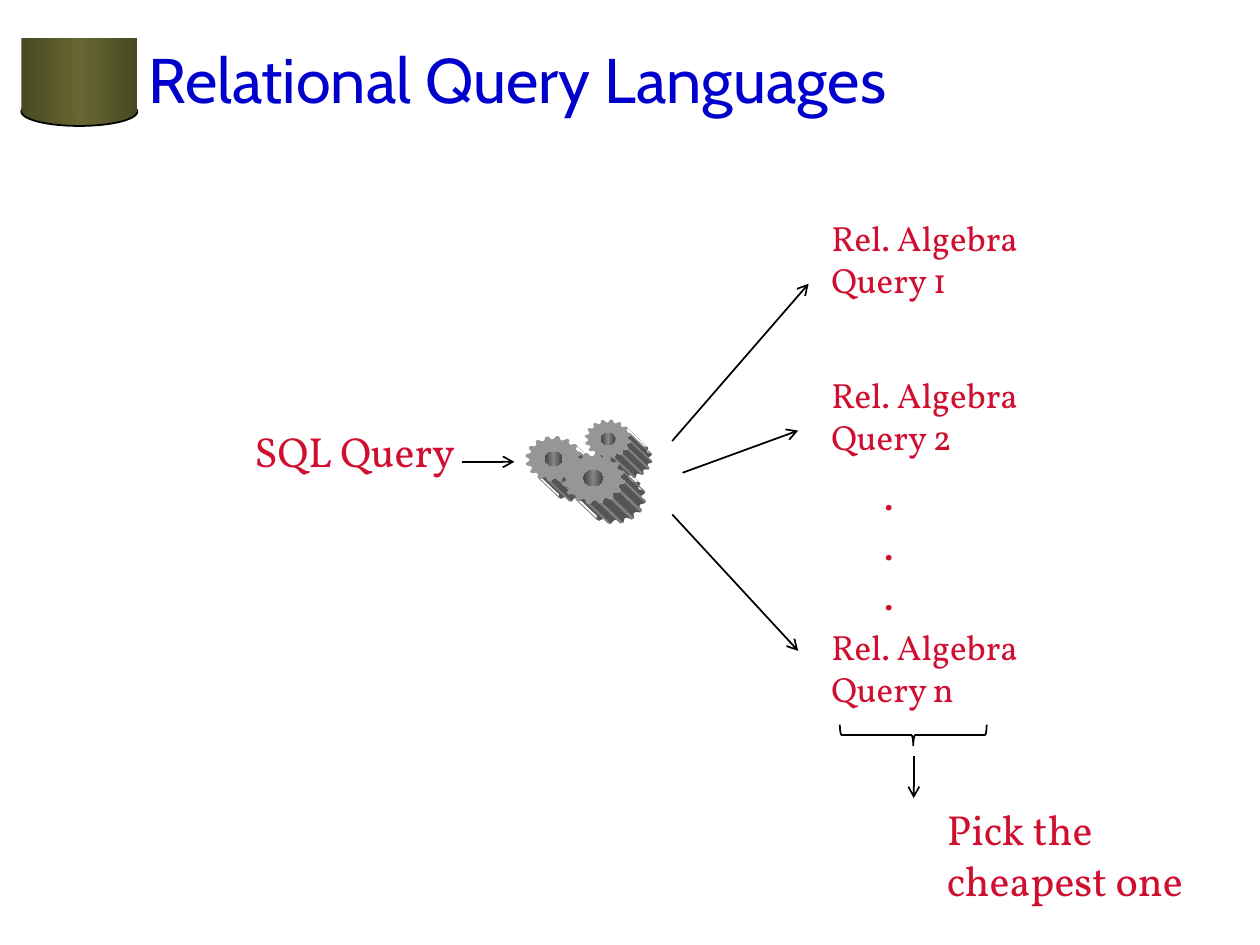
import math

import lxml.etree
import pptx
import pptx.dml.color
import pptx.enum.shapes
import pptx.enum.text
import pptx.oxml.ns
import pptx.util

Cm = pptx.util.Cm
SHAPES = pptx.enum.shapes.MSO_SHAPE
qn = pptx.oxml.ns.qn

COLORS = {
    "title": "0000CC",
    "text": "CF0E30",
    "line": "000000",
    "white": "FFFFFF",
    "olive_dark": "494924",
    "olive": "666633",
    "gear_face": "969696",
    "gear_side": "555555",
    "gear_ridge": "808080",
    "hole_dark": "404040",
    "hole_light": "858585",
}
TEETH = 16
DEPTH = (0.42, 0.40)  # how far the gears reach right and down, in cm


def color(name):
    return pptx.dml.color.RGBColor.from_string(COLORS[name])


def fill_gradient(shape, names):
    """Fill from left to right with evenly spaced colours."""
    shape.fill.gradient()
    shape.fill.gradient_angle = 0
    stops = shape.fill._fill._gradFill.find(qn("a:gsLst"))
    for stop in list(stops):
        stops.remove(stop)
    for index, name in enumerate(names):
        position = str(index * 100000 // (len(names) - 1))
        stop = lxml.etree.SubElement(stops, qn("a:gs"), pos=position)
        lxml.etree.SubElement(stop, qn("a:srgbClr"), val=COLORS[name])


def set_line(shape, name=None):
    if name is None:
        shape.line.fill.background()
    else:
        shape.line.color.rgb = color(name)
        shape.line.width = pptx.util.Pt(1)


def add_preset(page, kind, left, top, width, height, line=None):
    shape = page.shapes.add_shape(kind, Cm(left), Cm(top), Cm(width), Cm(height))
    shape.shadow.inherit = False
    set_line(shape, line)
    return shape


def add_text(page, text, left, top, width, height, size, font="Vollkorn", name="text"):
    box = page.shapes.add_textbox(Cm(left), Cm(top), Cm(width), Cm(height))
    box.text_frame.word_wrap = True
    box.text_frame.text = text
    for para in box.text_frame.paragraphs:
        for span in para.runs:
            span.font.size = pptx.util.Pt(size)
            span.font.name = font
            span.font.color.rgb = color(name)
    return box


def add_arrow(page, start, end):
    arrow = page.shapes.add_connector(
        pptx.enum.shapes.MSO_CONNECTOR.STRAIGHT, *map(Cm, start + end))
    set_line(arrow, "line")
    lxml.etree.SubElement(arrow.line._get_or_add_ln(), qn("a:tailEnd"), type="arrow")
    lxml.etree.SubElement(arrow._element.spPr, qn("a:effectLst"))


def add_outline(page, contours, name):
    """Draw closed contours, given in cm, as one filled shape."""
    contours = [[(Cm(x), Cm(y)) for x, y in points] for points in contours]
    builder = page.shapes.build_freeform(*contours[0][0], scale=1)
    for index, points in enumerate(contours):
        if index:
            builder.move_to(*points[0])
        builder.add_line_segments(points[1:], close=True)
    shape = builder.convert_to_shape()
    shape.shadow.inherit = False
    shape.fill.solid()
    shape.fill.fore_color.rgb = color(name)
    set_line(shape)


def sweep(points):
    """Outline of the surface made by moving points along the depth."""
    return points + [(x + DEPTH[0], y + DEPTH[1]) for x, y in reversed(points)]


def add_gear(page, x, y, radius_x, radius_y):
    def rim(step):
        angle = math.pi * (step / (2 * TEETH) - 0.25)
        reach = 1 if step % 4 in (1, 2) else 0.86
        return (x + radius_x * reach * math.cos(angle),
                y + radius_y * reach * math.sin(angle))

    points = [rim(step) for step in range(4 * TEETH)]
    half = 2 * TEETH
    add_outline(page, [sweep(points[:half + 1])], "gear_side")
    ridges = [sweep(points[step:step + 2]) for step in range(1, half, 4)]
    add_outline(page, ridges, "gear_ridge")
    add_outline(page, [points], "gear_face")
    hole_x, hole_y = 0.32 * radius_x, 0.31 * radius_y
    hole = add_preset(page, SHAPES.OVAL, x - hole_x, y - hole_y, 2 * hole_x, 2 * hole_y)
    fill_gradient(hole, ["hole_dark", "hole_light", "hole_dark"])


def add_cylinder(page):
    olive = ["olive_dark", "olive", "olive_dark"]
    base = add_preset(page, SHAPES.OVAL, 0.43, 1.96, 2.34, 0.58, "line")
    wall = add_preset(page, SHAPES.RECTANGLE, 0.43, 0.76, 2.34, 1.5)
    for part in (base, wall):
        fill_gradient(part, olive)


def main():
    deck = pptx.Presentation()
    deck.slide_width, deck.slide_height = Cm(25.4), Cm(19.05)
    page = deck.slides.add_slide(deck.slide_layouts[6])

    # Heading
    add_cylinder(page)
    title = add_text(page, "Relational Query Languages", 2.74, 0, 21.59, 3.17,
                     36, "Cabin", "title")
    title.text_frame.vertical_anchor = pptx.enum.text.MSO_ANCHOR.MIDDLE

    # Query and the gears that translate it
    add_text(page, "SQL Query", 4.88, 8.46, 5.08, 1.27, 24)
    for gear in ((12.26, 8.85, 0.47, 0.39), (11.16, 9.25, 0.57, 0.46),
                 (11.96, 9.64, 0.64, 0.52)):
        add_gear(page, *gear)

    # Equivalent algebra queries
    for label, top in (("1", 4.23), ("2", 7.41), ("n", 12.49)):
        add_text(page, f"Rel. Algebra Query {label}", 16.51, top, 5.08, 1.96, 20)
    add_text(page, ".\n.\n.", 17.57, 9.31, 2.54, 3.33, 24)

    # Choice of the cheapest
    add_text(page, "Pick the cheapest one", 18.84, 16.08, 6.56, 2.31, 24)
    brace = add_preset(page, SHAPES.RIGHT_BRACE, 18.2, 13.34, 0.42, 2.96, "line")
    brace.rotation = 90
    brace.fill.solid()
    brace.fill.fore_color.rgb = color("white")

    # Arrows
    for start, end in (
        ((13.55, 8.89), (16.3, 5.72)),
        ((13.76, 9.53), (16.09, 8.68)),
        ((13.55, 10.37), (16.09, 13.12)),
        ((9.31, 9.31), (10.37, 9.31)),
        ((18.42, 15.24), (18.42, 16.09)),
    ):
        add_arrow(page, start, end)

    deck.save("out.pptx")


if __name__ == "__main__":
    main()
